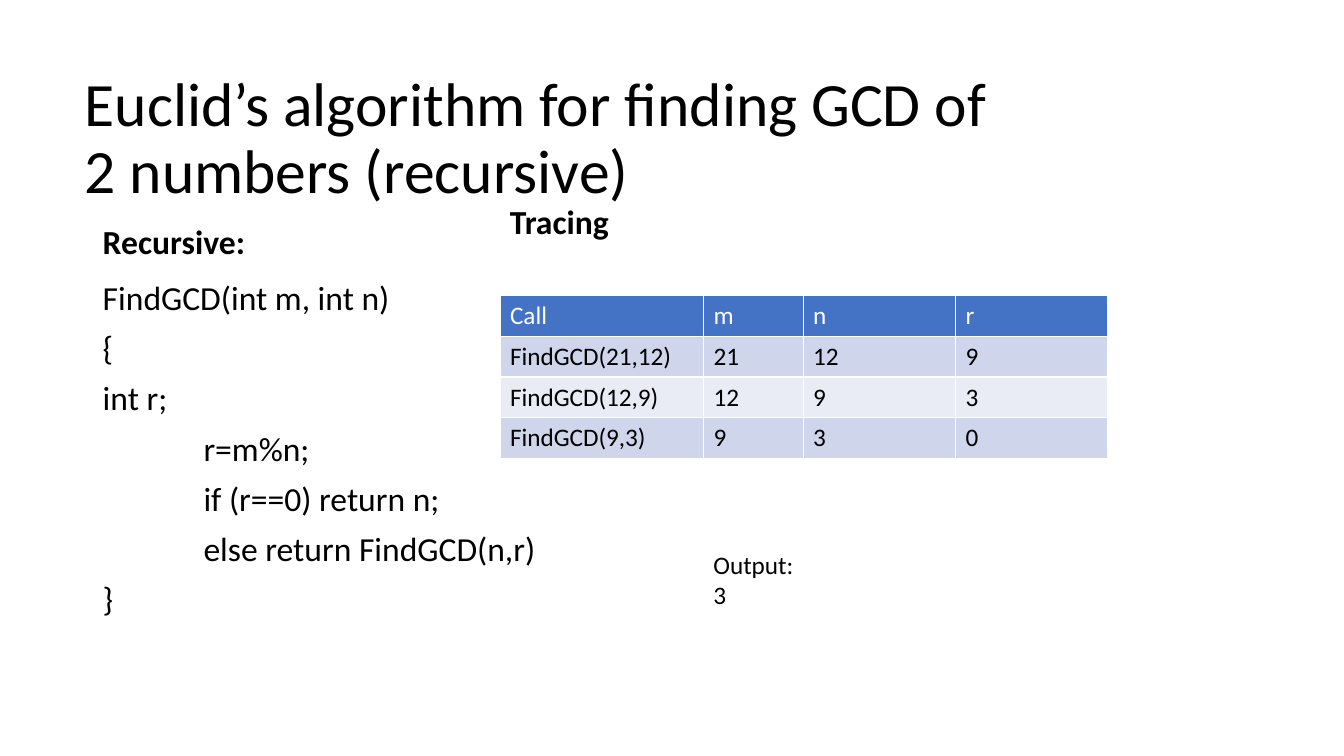
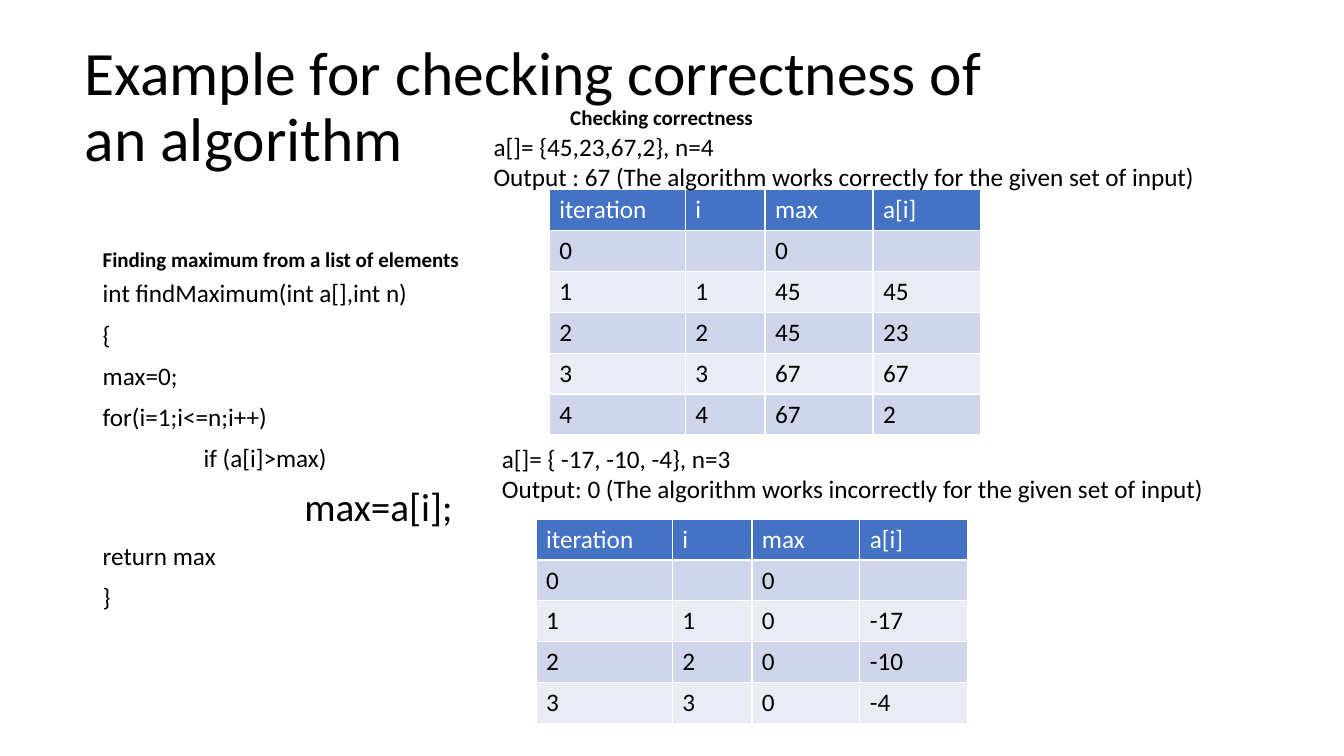
from dataclasses import dataclass

from pptx import Presentation
from pptx import util as u
from pptx.dml import color
from pptx.enum import text

FONT = "Calibri"
HUES = {"ink": "000000", "paper": "FFFFFF", "head": "4472C4",
        "odd": "CFD5EA", "even": "E9EBF5"}
ROW = 1.03
TAB = 2.54
TRACE = (3.43, 2.01, 2.72, 2.72)
HEADS = ("iteration", "i", "max", "a[i]")
TOP = text.MSO_ANCHOR.TOP
MID = text.MSO_ANCHOR.MIDDLE
LOW = text.MSO_ANCHOR.BOTTOM


@dataclass(frozen=True)
class Line:
    words: str
    size: float = 18
    bold: bool = False
    level: int = 0


@dataclass(frozen=True)
class Block:
    left: float
    top: float
    width: float
    height: float
    lines: tuple[Line, ...]
    lead: float = 1.0
    gap: float = 0
    anchor: text.MSO_ANCHOR = TOP


@dataclass(frozen=True)
class Grid:
    left: float
    top: float
    cols: tuple[float, ...]
    rows: tuple[tuple[str, ...], ...]


@dataclass(frozen=True)
class Page:
    title: str
    top: float
    items: tuple[Block | Grid, ...]


def tint(name: str) -> color.RGBColor:
    return color.RGBColor.from_string(HUES[name])


def write(para, line: Line, hue: str = "ink") -> None:
    run = para.add_run()
    run.text = line.words
    font = run.font
    font.name = FONT
    font.size = u.Pt(line.size)
    font.bold = line.bold
    font.color.rgb = tint(hue)


def fill_text(frame, block: Block) -> None:
    frame.word_wrap = True
    frame.auto_size = text.MSO_AUTO_SIZE.NONE
    frame.vertical_anchor = block.anchor
    for n, line in enumerate(block.lines):
        para = frame.add_paragraph() if n else frame.paragraphs[0]
        if line.level:
            para._p.get_or_add_pPr().set("marL", str(u.Cm(TAB * line.level)))
        para.alignment = text.PP_ALIGN.LEFT
        para.line_spacing = block.lead
        para.space_before = u.Pt(block.gap if n else 0)
        write(para, line)


def add_block(slide, block: Block) -> None:
    spot = map(u.Cm, (block.left, block.top, block.width, block.height))
    fill_text(slide.shapes.add_textbox(*spot).text_frame, block)


def add_grid(slide, grid: Grid) -> None:
    spot = map(u.Cm, (grid.left, grid.top, sum(grid.cols), ROW * len(grid.rows)))
    table = slide.shapes.add_table(len(grid.rows), len(grid.cols), *spot).table
    for col, width in zip(table.columns, grid.cols):
        col.width = u.Cm(width)
    for r, row in enumerate(grid.rows):
        table.rows[r].height = u.Cm(ROW)
        band = "odd" if r % 2 else "even" if r else "head"
        for c, words in enumerate(row):
            cell = table.cell(r, c)
            cell.fill.solid()
            cell.fill.fore_color.rgb = tint(band)
            if words:
                write(cell.text_frame.paragraphs[0], Line(words),
                      "ink" if r else "paper")


def add_page(deck, page: Page) -> None:
    slide = deck.slides.add_slide(deck.slide_layouts[5])
    block = Block(1.88, page.top, 23.88, 3.66, (Line(page.title, 44),), 0.9, 0, MID)
    title = slide.shapes.title
    title.left, title.top = u.Cm(block.left), u.Cm(block.top)
    title.width, title.height = u.Cm(block.width), u.Cm(block.height)
    fill_text(title.text_frame, block)
    for item in page.items:
        if isinstance(item, Grid):
            add_grid(slide, item)
        else:
            add_block(slide, item)


def label(left: float, top: float, width: float, height: float,
          words: str, size: float, lead: float) -> Block:
    return Block(left, top, width, height, (Line(words, size, True),), lead, 0, LOW)


def code(height: float, *lines: Line) -> Block:
    return Block(2.34, 6.96, 14.33, height, lines, 0.9, 10)


def note(left: float, top: float, width: float, *words: str) -> Block:
    return Block(left, top, width, 1.8, tuple(map(Line, words)))


PAGES = (
    Page("Euclid’s algorithm for finding GCD of 2 numbers (recursive)", 1.7, (
        label(2.34, 5.23, 7.01, 1.45, "Recursive:", 24, 0.7),
        code(11.35,
             Line("FindGCD(int m, int n)", 24),
             Line("{", 24),
             Line("int r;", 24),
             Line("r=m%n;", 24, level=1),
             Line("if (r==0) return n;", 24, level=1),
             Line("else return FindGCD(n,r)", 24, level=1),
             Line("}", 24)),
        label(12.6, 4.85, 4.98, 1.37, "Tracing", 24, 0.9),
        Grid(12.6, 7.44, (5.13, 2.51, 3.84, 3.84), (
            ("Call", "m", "n", "r"),
            ("FindGCD(21,12)", "21", "12", "9"),
            ("FindGCD(12,9)", "12", "9", "3"),
            ("FindGCD(9,3)", "9", "3", "0"))),
        note(17.73, 13.72, 7.42, "Output:", "3"),
    )),
    Page("Example for checking correctness of an algorithm", 0.91, (
        label(2.34, 4.67, 14.33, 2.29,
              "Finding maximum from a list of elements", 15, 0.7),
        code(10.24,
             Line("int findMaximum(int a[],int n)"),
             Line("{"),
             Line("max=0;"),
             Line("for(i=1;i<=n;i++)"),
             Line("if (a[i]>max)", level=1),
             Line("max=a[i];", 28, level=2),
             Line("return max"),
             Line("}")),
        label(14.12, 2.59, 11.63, 0.79, "Checking correctness", 15, 0.7),
        Grid(13.84, 4.78, TRACE, (
            HEADS,
            ("0", "", "0", ""),
            ("1", "1", "45", "45"),
            ("2", "2", "45", "23"),
            ("3", "3", "67", "67"),
            ("4", "4", "67", "2"))),
        note(12.19, 3.18, 20.83, "a[]= {45,23,67,2}, n=4",
             "Output : 67 (The algorithm works correctly for the given set of input)"),
        note(12.4, 11.05, 21.31, "a[]= { -17, -10, -4}, n=3",
             "Output: 0 (The algorithm works incorrectly for the given set of input)"),
        Grid(13.51, 13.08, TRACE, (
            HEADS,
            ("0", "", "0", ""),
            ("1", "1", "0", "-17"),
            ("2", "2", "0", "-10"),
            ("3", "3", "0", "-4"))),
    )),
)


def main() -> None:
    deck = Presentation()
    deck.slide_width, deck.slide_height = u.Cm(33.87), u.Cm(19.05)
    for page in PAGES:
        add_page(deck, page)
    deck.save("out.pptx")


if __name__ == "__main__":
    main()
